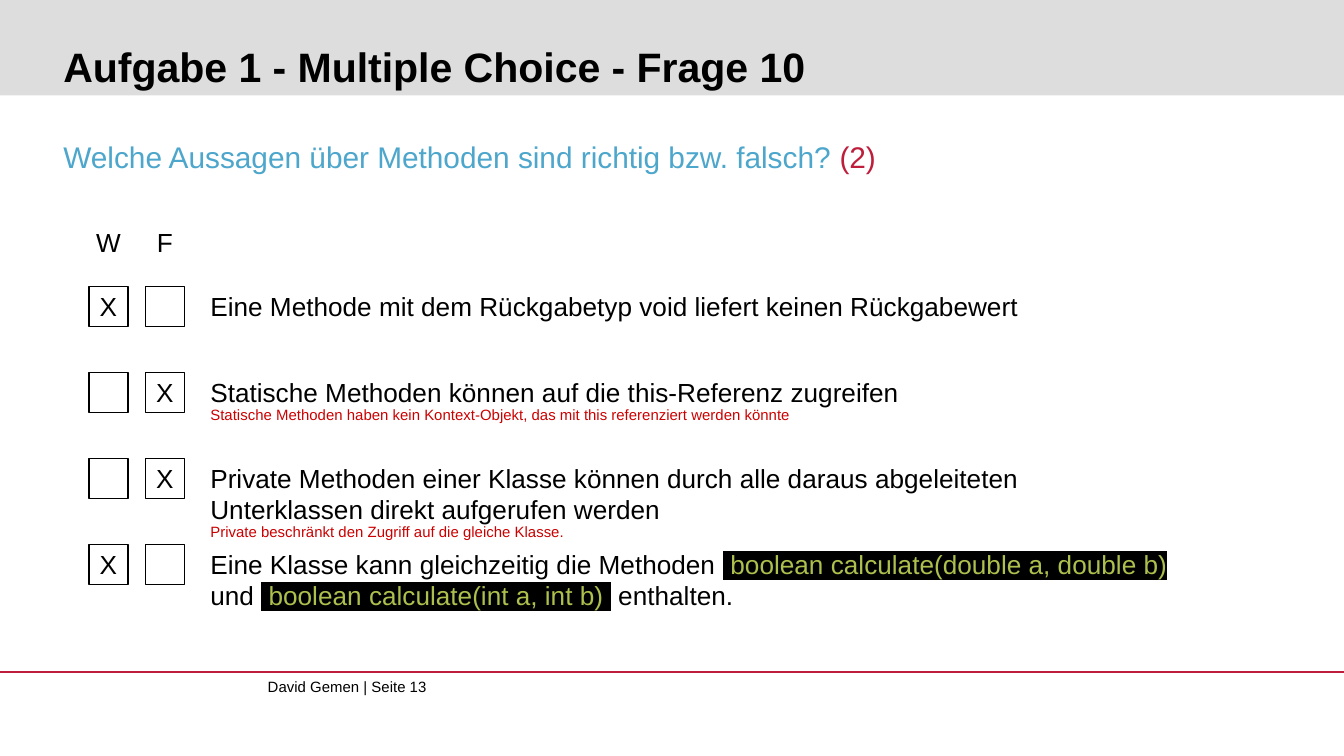
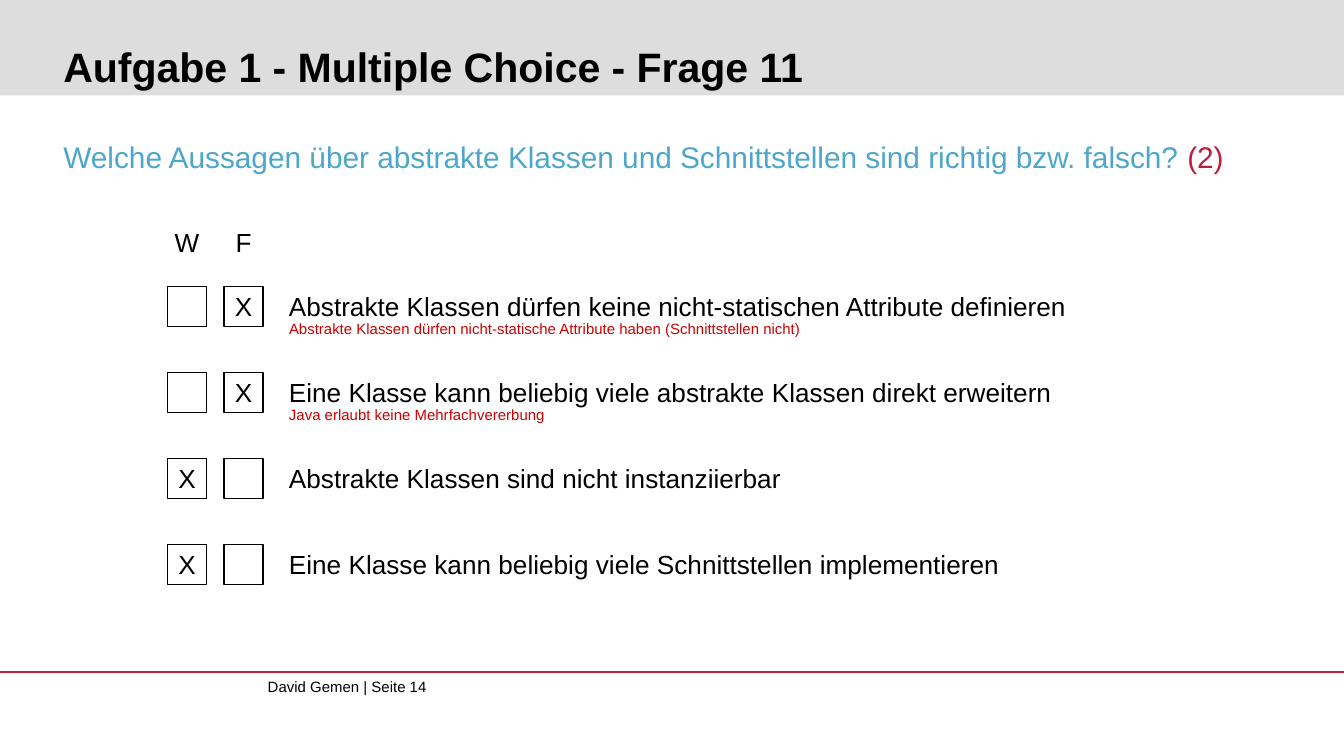
from dataclasses import dataclass

from lxml import etree
from pptx import Presentation
from pptx import util as u
from pptx.dml.color import RGBColor
from pptx.enum import shapes, text
from pptx.oxml.ns import qn

# A 16:9 slide on a grid of 100 columns by 56.25 rows
COLS, ROWS = 100, 56.25
WIDTH = u.Inches(10)
HEIGHT = u.Emu(WIDTH * 9 // 16)


@dataclass(frozen=True)
class Theme:
    font: str = "Arial"
    black: str = "000000"
    band: str = "DDDDDD"
    question: str = "4DA6CB"
    accent: str = "BE1E3C"
    note: str = "CC0000"
    code: str = "ADBF4D"
    title_size: float = 22
    question_size: float = 16
    body_size: float = 14
    small_size: float = 8
    line: float = 0.75


T = Theme()


@dataclass(frozen=True)
class Run:
    text: str
    color: str = T.black
    size: float = T.body_size
    bold: bool = False
    highlight: str = ""


@dataclass(frozen=True)
class Answer:
    runs: tuple[Run, ...]
    correct: bool
    width: float
    note: str = ""
    note_width: float = 40.7
    lines: int = 1


@dataclass(frozen=True)
class Question:
    number: int
    page: int
    prompt: str
    left: float  # column of the first checkbox
    answers: tuple[Answer, ...]


# Checkbox grid, in columns and rows
BOX_W, BOX_H, BOX_STEP = 2.9, 3, 4.2
FIRST_ROW, ROW_STEP = 20.6, 6.4
HEADER_ROW = 15.83
MARK_W, LINE_H, NEXT_LINE = 4.1, 4.4, 2.3
BOX_DROP = 0.7
STATEMENT_OFFSET, NOTE_DROP, NOTE_H = 8.05, 2.5, 3.4
PAD = 1
MARGIN, CONTENT_W = 4.72, 91.6

QUESTIONS = (
    Question(10, 13, "Welche Aussagen über Methoden sind richtig bzw. falsch? ", 6.62, (
        Answer((Run("Eine Methode mit dem Rückgabetyp void liefert keinen Rückgabewert"),),
               True, 67.7),
        Answer((Run("Statische Methoden können auf die this-Referenz zugreifen"),),
               False, 73,
               "Statische Methoden haben kein Kontext-Objekt, "
               "das mit this referenziert werden könnte", 47.8),
        Answer((Run("Private Methoden einer Klasse können durch alle daraus "
                    "abgeleiteten Unterklassen direkt aufgerufen werden"),),
               False, 73.3,
               "Private beschränkt den Zugriff auf die gleiche Klasse.", lines=2),
        Answer((Run("Eine Klasse kann gleichzeitig die Methoden "),
                Run(" boolean calculate(double a, double b) ", T.code, highlight=T.black),
                Run("und "),
                Run(" boolean calculate(int a, int b) ", T.code, highlight=T.black),
                Run(" enthalten.")),
               True, 76, lines=2),
    )),
    Question(11, 14, "Welche Aussagen über abstrakte Klassen und Schnittstellen "
                     "sind richtig bzw. falsch? ", 12.47, (
        Answer((Run("Abstrakte Klassen dürfen keine nicht-statischen Attribute definieren"),),
               False, 67.7,
               "Abstrakte Klassen dürfen nicht-statische Attribute haben "
               "(Schnittstellen nicht)", 48.2),
        Answer((Run("Eine Klasse kann beliebig viele abstrakte Klassen direkt erweitern"),),
               False, 73, "Java erlaubt keine Mehrfachvererbung"),
        Answer((Run("Abstrakte Klassen sind nicht instanziierbar"),), True, 73.3),
        Answer((Run("Eine Klasse kann beliebig viele Schnittstellen implementieren"),),
               True, 69.4),
    )),
)


def x(cols: float) -> int:
    return round(WIDTH * cols / COLS)


def y(rows: float) -> int:
    return round(HEIGHT * rows / ROWS)


def apply(target, values: dict) -> None:
    for name, value in values.items():
        setattr(target, name, value)


def add_text(s, left: float, top: float, width: float, height: float,
             runs: tuple[Run, ...], pad: float = 0, grow: bool = True,
             anchor=text.MSO_ANCHOR.TOP, align=text.PP_ALIGN.LEFT) -> None:
    sp = s.shapes.add_textbox(x(left), y(top), x(width), y(height))
    tf = sp.text_frame
    fit = text.MSO_AUTO_SIZE
    apply(tf, {
        "word_wrap": True,
        "auto_size": fit.SHAPE_TO_FIT_TEXT if grow else fit.NONE,
        "vertical_anchor": anchor,
        "margin_left": x(pad), "margin_right": x(pad),
        "margin_top": y(pad), "margin_bottom": y(pad),
    })
    p = tf.paragraphs[0]
    p.alignment = align
    for run in runs:
        r = p.add_run()
        r.text = run.text
        r.font.color.rgb = RGBColor.from_string(run.color)
        apply(r.font, {"name": T.font, "size": u.Pt(run.size), "bold": run.bold})
        if run.highlight:
            mark = etree.Element(qn("a:highlight"))
            etree.SubElement(mark, qn("a:srgbClr"), val=run.highlight)
            r.font._element.find(qn("a:latin")).addprevious(mark)


def add_rect(s, left: float, top: float, width: float, height: float,
             fill: str = "", line: str = "") -> None:
    sp = s.shapes.add_shape(shapes.MSO_SHAPE.RECTANGLE,
                            x(left), y(top), x(width), y(height))
    sp.shadow.inherit = False
    if fill:
        sp.fill.solid()
        sp.fill.fore_color.rgb = RGBColor.from_string(fill)
    else:
        sp.fill.background()
    if line:
        sp.line.color.rgb = RGBColor.from_string(line)
        sp.line.width = u.Pt(T.line)
    else:
        sp.line.fill.background()


def add_frame(s, q: Question) -> None:
    # Footer
    add_text(s, 19.92, 50.4, 42.2, 2.7,
             (Run(f"David Gemen | Seite {q.page}", size=T.small_size),))
    rule = s.shapes.add_connector(shapes.MSO_CONNECTOR.STRAIGHT,
                                  0, y(50), x(COLS), y(50))
    rule.line.color.rgb = RGBColor.from_string(T.accent)
    rule.line.width = u.Pt(T.line)
    etree.SubElement(rule._element.spPr, qn("a:effectLst"))

    # Title band and question
    add_rect(s, 0, 0, COLS, 7.1, fill=T.band)
    add_text(s, MARGIN, 0.94, CONTENT_W, 5.8,
             (Run(f"Aufgabe 1 - Multiple Choice - Frage {q.number}",
                  size=T.title_size, bold=True),),
             grow=False, anchor=text.MSO_ANCHOR.BOTTOM)
    add_text(s, MARGIN, 10.3, CONTENT_W, 3.4,
             (Run(q.prompt, T.question, T.question_size),
              Run("(2)", T.accent, T.question_size)), grow=False)


def add_mark(s, q: Question, col: int, top: float, letter: str) -> None:
    left = q.left + col * BOX_STEP + (BOX_W - MARK_W) / 2
    add_text(s, left, top, MARK_W, LINE_H, (Run(letter),), PAD,
             align=text.PP_ALIGN.CENTER)


def add_answer(s, q: Question, row: int, answer: Answer) -> None:
    top = FIRST_ROW + row * ROW_STEP
    left = q.left + STATEMENT_OFFSET
    extra = (answer.lines - 1) * NEXT_LINE
    add_text(s, left, top, answer.width, LINE_H + extra, answer.runs, PAD)
    for col in range(2):
        add_rect(s, q.left + col * BOX_STEP, top + BOX_DROP, BOX_W, BOX_H, line=T.black)
    add_mark(s, q, 0 if answer.correct else 1, top, "X")
    if answer.note:
        add_text(s, left, top + NOTE_DROP + extra, answer.note_width, NOTE_H,
                 (Run(answer.note, T.note, T.small_size),), PAD)


def main() -> None:
    prs = Presentation()
    apply(prs, {"slide_width": WIDTH, "slide_height": HEIGHT})
    for q in QUESTIONS:
        s = prs.slides.add_slide(prs.slide_layouts[6])
        add_frame(s, q)
        # Column heads, then one row per answer
        for col, letter in enumerate("WF"):
            add_mark(s, q, col, HEADER_ROW, letter)
        for row, answer in enumerate(q.answers):
            add_answer(s, q, row, answer)
    prs.save("out.pptx")


if __name__ == "__main__":
    main()
